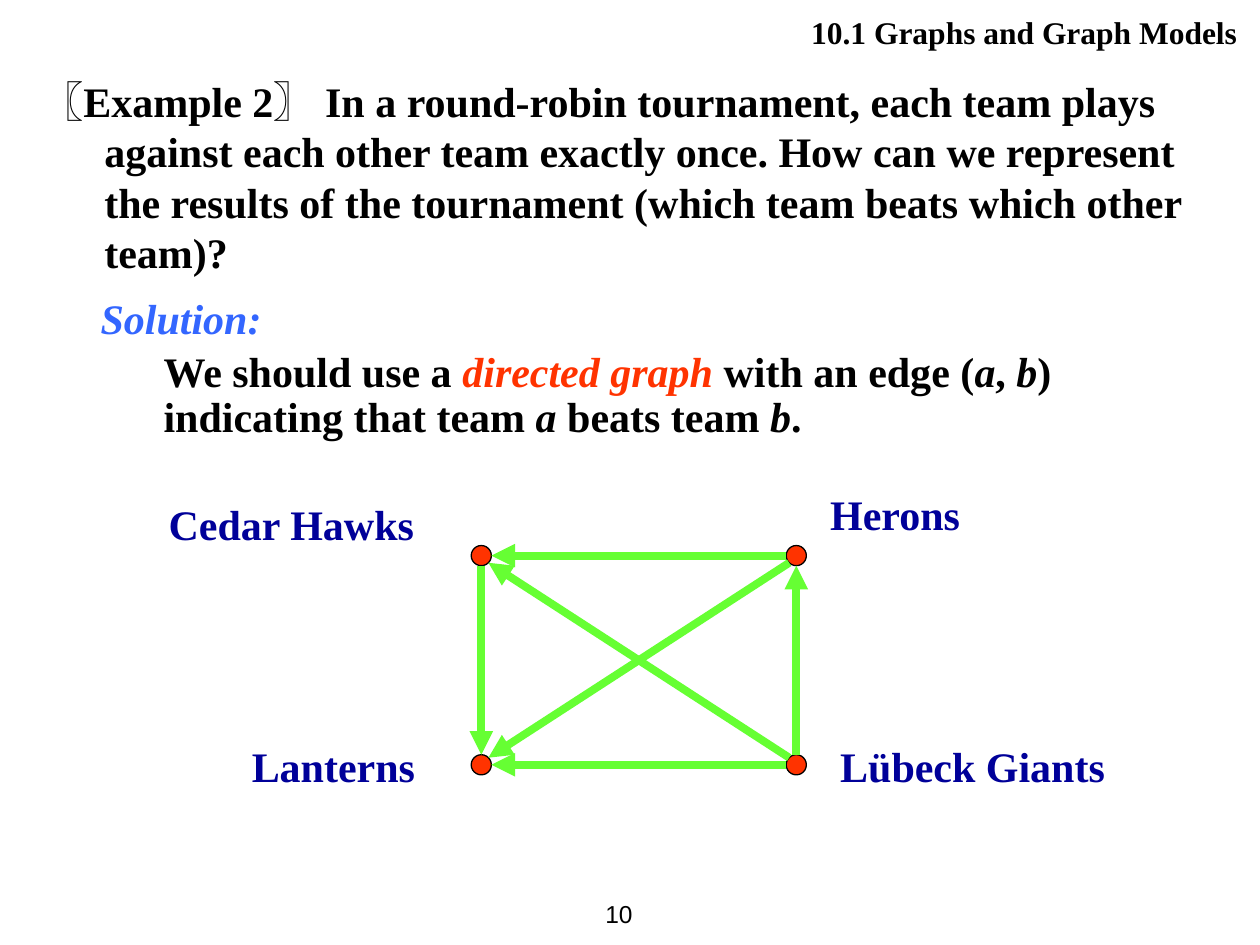
import math
from dataclasses import dataclass

import lxml.etree
import pptx
import pptx.dml.color
import pptx.enum.shapes
import pptx.enum.text
import pptx.oxml.ns
import pptx.util

Inches = pptx.util.Inches
Pt = pptx.util.Pt
Align = pptx.enum.text.PP_ALIGN
Anchor = pptx.enum.text.MSO_ANCHOR
qn = pptx.oxml.ns.qn


@dataclass(frozen=True)
class Theme:
    serif: str = "Times New Roman"
    sans: str = "Arial"
    ink: str = "000000"
    blue: str = "3366FF"
    navy: str = "000099"
    red: str = "FF3300"
    green: str = "66FF33"
    body: float = 24
    head: float = 18
    foot: float = 14
    rim: float = 0.75
    edge: float = 4.5


def paint(code):
    return pptx.dml.color.RGBColor.from_string(code)


class Board:
    def __init__(self, slide, theme):
        self.slide = slide
        self.theme = theme

    def box(self, left, top, width, height, wrap=True):
        shape = self.slide.shapes.add_textbox(
            Inches(left), Inches(top), Inches(width), Inches(height))
        frame = shape.text_frame
        frame.word_wrap = wrap
        return frame

    def style(self, run, size=None, face=None, tint=None, bold=True, slant=False):
        font = run.font
        font.size = Pt(size or self.theme.body)
        font.name = face or self.theme.serif
        font.color.rgb = paint(tint or self.theme.ink)
        font.bold = bold
        font.italic = slant

    def fill(self, para, parts):
        for text, look in parts:
            run = para.add_run()
            run.text = text
            self.style(run, **look)

    def indent(self, para, left, first=0):
        props = para._p.get_or_add_pPr()
        props.set("marL", str(Inches(left)))
        props.set("indent", str(Inches(first)))

    def label(self, text, left, top, width):
        frame = self.box(left, top, width, 0.5)
        self.fill(frame.paragraphs[0], [(text, {"tint": self.theme.navy})])

    def node(self, spot, radius):
        x, y = spot
        shape = self.slide.shapes.add_shape(
            pptx.enum.shapes.MSO_SHAPE.FLOWCHART_CONNECTOR,
            Inches(x - radius), Inches(y - radius),
            Inches(2 * radius), Inches(2 * radius))
        shape.shadow.inherit = False
        shape.fill.solid()
        shape.fill.fore_color.rgb = paint(self.theme.red)
        shape.line.color.rgb = paint(self.theme.ink)
        shape.line.width = Pt(self.theme.rim)

    def arrow(self, start, end, radius):
        signs = [(b > a) - (b < a) for a, b in zip(start, end)]
        step = radius / math.hypot(*signs)
        tail = [a + s * step for a, s in zip(start, signs)]
        tip = [b - s * step for b, s in zip(end, signs)]
        line = self.slide.shapes.add_connector(
            pptx.enum.shapes.MSO_CONNECTOR.STRAIGHT,
            *(Inches(v) for v in tail + tip))
        line.line.color.rgb = paint(self.theme.green)
        line.line.width = Pt(self.theme.edge)
        props = line._element.spPr
        lxml.etree.SubElement(props.find(qn("a:ln")), qn("a:tailEnd"), type="triangle")
        lxml.etree.SubElement(props, qn("a:effectLst"))


def main():
    deck = pptx.Presentation()
    deck.slide_width = Inches(10)
    deck.slide_height = Inches(7.5)
    theme = Theme()
    board = Board(deck.slides.add_slide(deck.slide_layouts[6]), theme)

    page = board.box(4.45, 7, 0.67, 0.5, wrap=False)
    page.vertical_anchor = Anchor.MIDDLE
    page.text = "10"
    page.paragraphs[0].alignment = Align.RIGHT
    board.style(page.paragraphs[0].runs[0], theme.foot, theme.sans, bold=False)

    task = board.box(0.23, 0.55, 9.53, 1.72).paragraphs[0]
    board.indent(task, 0.5, -0.5)
    sans = {"face": theme.sans}
    board.fill(task, [
        ("〖", sans),
        ("Example 2", {}),
        ("〗 ", sans),
        ("In a round-robin tournament, each team plays against each other team "
         "exactly once. How can we represent the results of the tournament "
         "(which team beats which other team)?", {}),
    ])

    proof = board.box(0.7, 2.27, 9.08, 1.3)
    title = proof.paragraphs[0]
    board.indent(title, 0.5, -0.5)
    board.fill(title, [("Solution:", {"tint": theme.blue, "slant": True})])
    reply = proof.add_paragraph()
    board.indent(reply, 0.5)
    reply.line_spacing = 0.9
    reply.space_before = reply.space_after = Pt(0.2 * theme.body)
    slant = {"slant": True}
    board.fill(reply, [
        ("We should use a ", {}),
        ("directed graph", {"tint": theme.red, "slant": True}),
        (" with an edge (", {}),
        ("a", slant),
        (", ", {}),
        ("b", slant),
        (") indicating that team ", {}),
        ("a", slant),
        (" beats team ", {}),
        ("b", slant),
        (".", {}),
    ])

    west, east, north, south = 3.82, 6.32, 4.41, 6.07
    radius = 0.08
    teams = {
        "Lanterns": ((west, south), (1.9, 5.83, 1.83)),
        "Herons": ((east, north), (6.49, 3.83, 1.75)),
        "Lübeck Giants": ((east, south), (6.57, 5.83, 3)),
        "Cedar Hawks": ((west, north), (1.24, 3.91, 2.58)),
    }
    for name, (spot, place) in teams.items():
        board.node(spot, radius)
        board.label(name, *place)

    wins = [
        ("Cedar Hawks", "Lanterns"),
        ("Herons", "Cedar Hawks"),
        ("Herons", "Lanterns"),
        ("Lübeck Giants", "Lanterns"),
        ("Lübeck Giants", "Cedar Hawks"),
        ("Lübeck Giants", "Herons"),
    ]
    for victor, loser in wins:
        board.arrow(teams[victor][0], teams[loser][0], radius)

    head = board.box(5.71, -0.03, 4.29, 0.5)
    head.margin_top = Inches(0.13)
    head.margin_right = Inches(0.18)
    head.text = "10.1 Graphs and Graph Models"
    head.paragraphs[0].alignment = Align.RIGHT
    board.style(head.paragraphs[0].runs[0], theme.head)

    deck.save("out.pptx")


if __name__ == "__main__":
    main()
